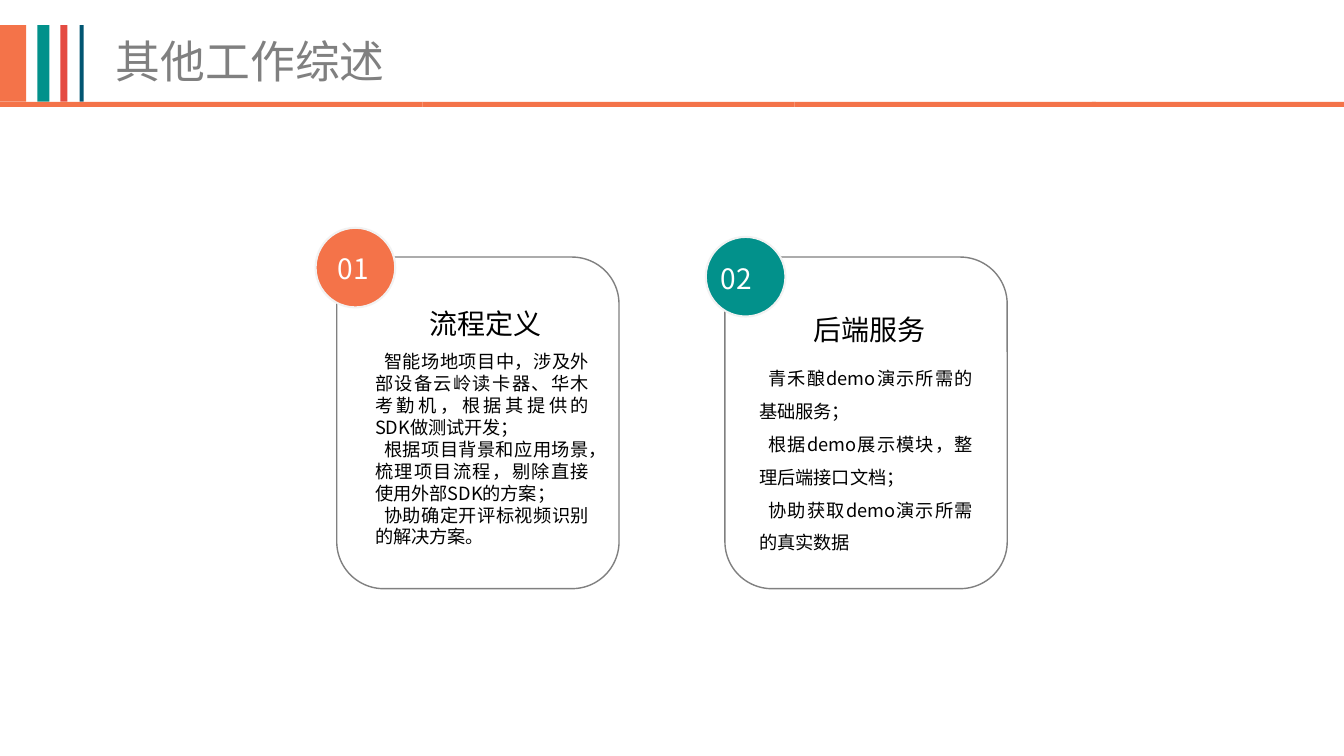
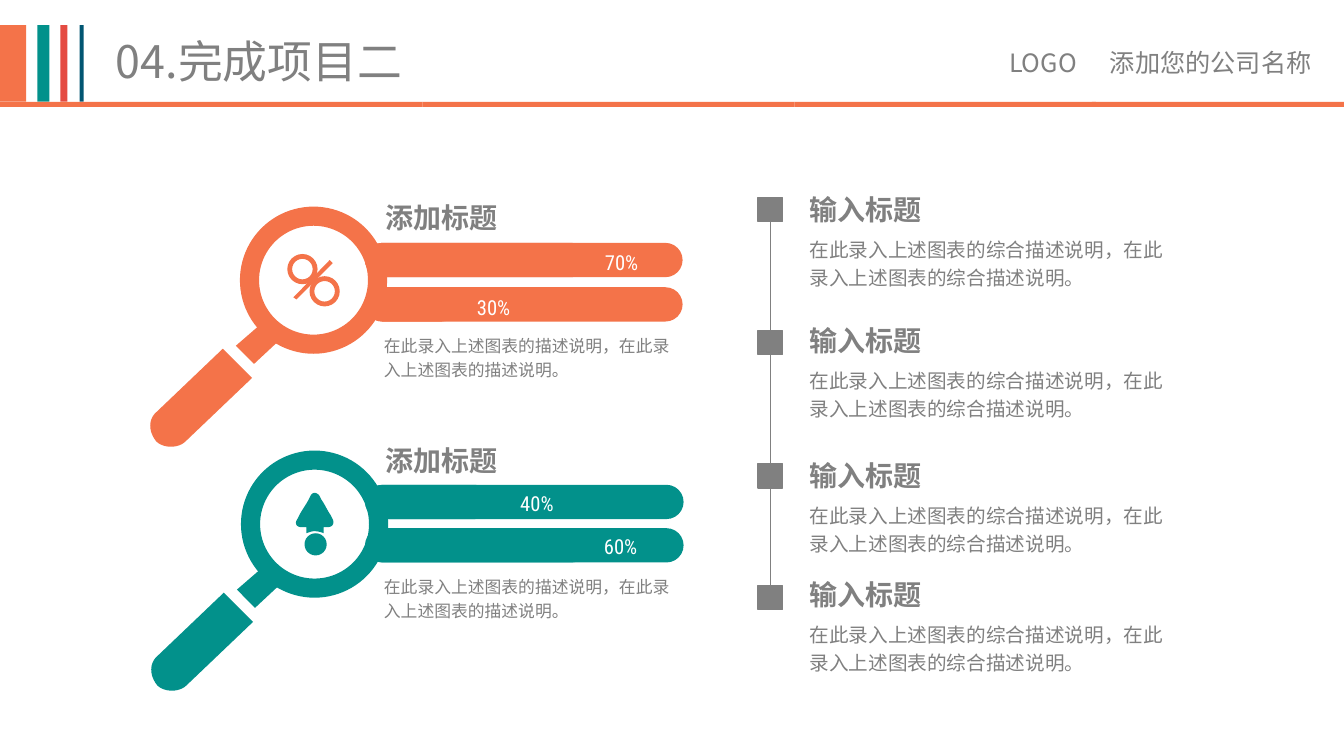
from dataclasses import dataclass
from itertools import pairwise

from lxml import etree
from pptx import Presentation
from pptx import util as u
from pptx.dml.color import RGBColor
from pptx.enum import shapes, text
from pptx.oxml.ns import qn
from pptx.shapes.autoshape import Shape
from pptx.slide import Slide

ORANGE, TEAL, RED, NAVY = "F47349", "02918B", "E44B42", "015672"
GRAY, PALE, WHITE, BLACK = "808080", "F2F2F2", "FFFFFF", "000000"
CJK_FONT, LATIN_FONT = "Noto Sans CJK SC", "Roboto Condensed"
KIND = shapes.MSO_SHAPE
ALIGN = text.PP_ALIGN
Box = tuple[float, float, float, float]
Point = tuple[float, float]

STRIPES = ((0, 0.26, ORANGE), (0.37, 0.12, TEAL), (0.6, 0.07, RED), (0.79, 0.04, NAVY))
RULE_PARTS = ((0, 4.19), (4.19, 3.69), (7.88, 2.99), (10.83, 2.5))
CHART_NOTE = "在此录入上述图表的描述说明，在此录入上述图表的描述说明。"
SUMMARY_NOTE = "在此录入上述图表的综合描述说明，在此录入上述图表的综合描述说明。"

NECK = ((0.43, 1.29), (0.14, 1.56), (-0.04, 1.38), (0.26, 1.12))
GRIP = (
    (-0.17, 1.41), (-0.83, 2.04),
    (-0.91, 2.11, -0.91, 2.23, -0.83, 2.33),
    (-0.76, 2.4, -0.61, 2.4, -0.54, 2.33),
    (0.12, 1.7),
)
PERCENT_SLASH = ((0.92, 0.56), (0.56, 0.92), (0.53, 0.9), (0.89, 0.53))
ARROW = (
    (0.89, 0.64), (0.86, 0.6, 0.83, 0.53, 0.8, 0.49),
    (0.78, 0.45), (0.75, 0.41, 0.71, 0.41, 0.69, 0.45),
    (0.67, 0.49), (0.65, 0.53, 0.6, 0.6, 0.58, 0.64),
    (0.56, 0.68), (0.53, 0.72, 0.55, 0.76, 0.6, 0.76),
    (0.65, 0.76), (0.65, 0.82), (0.68, 0.81, 0.7, 0.8, 0.73, 0.8),
    (0.76, 0.8, 0.8, 0.81, 0.82, 0.82), (0.82, 0.76), (0.86, 0.76),
    (0.91, 0.76, 0.93, 0.72, 0.91, 0.68),
)


@dataclass(frozen=True)
class Card:
    """A numbered card with a heading and justified paragraphs."""
    number: str
    heading: str
    paragraphs: tuple[str, ...]
    color: str
    left: float
    badge: Point
    number_at: Point
    heading_at: Point
    body_at: Point
    spacing: float


@dataclass(frozen=True)
class Bar:
    """A percentage bar with its filled width and label position."""
    top: float
    filled: float
    label: str
    label_box: Box


@dataclass(frozen=True)
class Lens:
    """A magnifier with a heading, two bars and a note."""
    corner: Point
    color: str
    icon: str
    heading_top: float
    note_top: float
    bar_left: float
    bars: tuple[Bar, ...]


@dataclass(frozen=True)
class Milestone:
    """A timeline entry."""
    marker_top: float
    heading_top: float


CARDS = (
    Card("01", "流程定义", (
        "智能场地项目中，涉及外部设备云岭读卡器、华木考勤机，根据其提供的SDK做测试开发；",
        "根据项目背景和应用场景，梳理项目流程，剔除直接使用外部SDK的方案；",
        "协助确定开评标视频识别的解决方案。",
    ), ORANGE, 3.34, (3.13, 2.26), (3.25, 2.45), (3.82, 2.99), (3.59, 3.41), 1),
    Card("02", "后端服务", (
        "青禾酿demo演示所需的基础服务；",
        "根据demo展示模块，整理后端接口文档；",
        "协助获取demo演示所需的真实数据",
    ), TEAL, 7.19, (7, 2.35), (7.05, 2.55), (7.63, 3.05), (7.4, 3.47), 1.5),
)
LENSES = (
    Lens((2.38, 2.05), ORANGE, "percent", 1.94, 3.24, 3.62, (
        Bar(2.41, 2.22, "70%", (5.81, 2.38, 0.71, 0.36)),
        Bar(2.85, 0.93, "30%", (4.54, 2.83, 0.71, 0.36)),
    )),
    Lens((2.39, 4.47), TEAL, "arrow", 4.35, 5.63, 3.63, (
        Bar(4.81, 1.26, "40%", (4.85, 4.77, 0.95, 0.36)),
        Bar(5.24, 2.22, "60%", (5.8, 5.2, 0.71, 0.36)),
    )),
)
MILESTONES = (
    Milestone(1.96, 1.86), Milestone(3.28, 3.16),
    Milestone(4.6, 4.5), Milestone(5.81, 5.68),
)


def rgb(color: str) -> RGBColor:
    """Turn a hex string into a colour."""
    return RGBColor.from_string(color)


def style_shape(shape: Shape, fill: str | None, line: str | None = None, width: float = 1) -> None:
    """Set the fill and outline of a shape and remove its shadow."""
    shape.shadow.inherit = False
    if fill:
        shape.fill.solid()
        shape.fill.fore_color.rgb = rgb(fill)
    else:
        shape.fill.background()
    if line:
        shape.line.color.rgb = rgb(line)
        shape.line.width = u.Pt(width)
    else:
        shape.line.fill.background()


def add_preset(slide: Slide, kind: KIND, box: Box, fill: str | None, *, line: str | None = None,
               width: float = 1, adjust: float | None = None) -> None:
    """Add a preset shape."""
    shape = slide.shapes.add_shape(kind, *map(u.Inches, box))
    if adjust is not None:
        shape.adjustments[0] = adjust
    style_shape(shape, fill, line, width)


def add_text(slide: Slide, box: Box, *paragraphs: str, size: float, color: str = GRAY,
             font: str = CJK_FONT, bold: bool = False, align: ALIGN = ALIGN.LEFT,
             spacing: float = 1, indent: float = 0, margins: Point = (0.1, 0.05),
             wrap: bool = True) -> None:
    """Add a text box with one format for all its paragraphs."""
    frame = slide.shapes.add_textbox(*map(u.Inches, box)).text_frame
    frame.word_wrap = wrap
    frame.auto_size = text.MSO_AUTO_SIZE.SHAPE_TO_FIT_TEXT
    frame.margin_left = frame.margin_right = u.Inches(margins[0])
    frame.margin_top = frame.margin_bottom = u.Inches(margins[1])
    for index, words in enumerate(paragraphs):
        paragraph = frame.add_paragraph() if index else frame.paragraphs[0]
        paragraph.alignment = align
        paragraph.line_spacing = spacing
        if indent:
            paragraph._p.get_or_add_pPr().set("indent", str(u.Inches(indent)))
        run = paragraph.add_run()
        run.text = words
        run.font.size = u.Pt(size)
        run.font.bold = bold
        run.font.color.rgb = rgb(color)
        run.font.name = font
        etree.SubElement(run._r.get_or_add_rPr(), qn("a:ea"), typeface=CJK_FONT)


def curve_points(start: Point, curve: tuple[float, ...], steps: int = 12) -> list[Point]:
    """Sample a cubic curve given by two control points and an end point."""
    points = (start, curve[:2], curve[2:4], curve[4:])
    samples = []
    for step in range(1, steps + 1):
        t = step / steps
        weights = ((1 - t) ** 3, 3 * t * (1 - t) ** 2, 3 * t * t * (1 - t), t ** 3)
        samples.append(tuple(sum(w * p[axis] for w, p in zip(weights, points)) for axis in (0, 1)))
    return samples


def add_outline(slide: Slide, corner: Point, outline: tuple[tuple[float, ...], ...], fill: str) -> None:
    """Add a closed outline of lines and curves, measured from a corner."""
    points = [outline[0]]
    for segment in outline[1:]:
        points += [segment] if len(segment) == 2 else curve_points(points[-1], segment)
    placed = [(u.Inches(corner[0] + x), u.Inches(corner[1] + y)) for x, y in points]
    builder = slide.shapes.build_freeform(*placed[0])
    builder.add_line_segments(placed[1:], close=True)
    style_shape(builder.convert_to_shape(), fill)


def add_line(slide: Slide, start: Point, end: Point) -> None:
    """Add a thin gray line."""
    line = slide.shapes.add_connector(shapes.MSO_CONNECTOR.STRAIGHT, *map(u.Inches, (*start, *end)))
    line.line.color.rgb = rgb(GRAY)
    line.line.width = u.Pt(0.5)
    etree.SubElement(line._element.spPr, qn("a:effectLst"))


def add_page(presentation: Presentation, title: str) -> Slide:
    """Add a slide with the shared title, stripes and rule."""
    slide = presentation.slides.add_slide(presentation.slide_layouts[6])
    add_text(slide, (1.05, 0.29, 5.12, 0.64), title, size=32)
    for left, width, color in STRIPES:
        add_preset(slide, KIND.RECTANGLE, (left, 0.25, width, 0.76), color)
    for left, width in RULE_PARTS:
        add_preset(slide, KIND.RECTANGLE, (left, 1.01, width, 0.05), ORANGE)
    return slide


def add_card(slide: Slide, card: Card) -> None:
    """Draw a numbered card."""
    add_preset(slide, KIND.ROUNDED_RECTANGLE, (card.left, 2.55, 2.8, 3.29), None, line=GRAY)
    add_preset(slide, KIND.OVAL, (*card.badge, 0.79, 0.79), card.color, line=PALE, width=1.5)
    add_text(slide, (*card.number_at, 0.75, 0.44), card.number, size=20, color=WHITE)
    add_text(slide, (*card.body_at, 2.38, 2.05), *card.paragraphs, size=13, color=BLACK,
             align=ALIGN.JUSTIFY, spacing=card.spacing, indent=0.09, margins=(0.13, 0.07))
    add_text(slide, (*card.heading_at, 1.99, 0.44), card.heading, size=20, color=BLACK,
             align=ALIGN.CENTER)


def add_lens(slide: Slide, lens: Lens) -> None:
    """Draw a magnifier with its bars and texts."""
    left, top = lens.corner
    for bar in lens.bars:
        for bar_left, width in ((lens.bar_left, 3.15), (3.62, bar.filled)):
            add_preset(slide, KIND.ROUNDED_RECTANGLE, (bar_left, bar.top, width, 0.34),
                       lens.color, adjust=0.5)
        add_text(slide, bar.label_box, bar.label, size=14.7, color=WHITE, font=LATIN_FONT,
                 align=ALIGN.CENTER, spacing=1.2)
    add_preset(slide, KIND.DONUT, (left, top, 1.46, 1.46), lens.color, adjust=0.13)
    for outline in (NECK, GRIP):
        add_outline(slide, lens.corner, outline, lens.color)
    if lens.icon == "percent":
        for offset in (0.47, 0.69):
            add_preset(slide, KIND.DONUT, (left + offset, top + offset, 0.3, 0.3),
                       lens.color, adjust=0.16)
        add_outline(slide, lens.corner, PERCENT_SLASH, lens.color)
    else:
        add_outline(slide, lens.corner, ARROW, lens.color)
        add_preset(slide, KIND.OVAL, (left + 0.63, top + 0.82, 0.22, 0.22), lens.color)
    add_text(slide, (3.72, lens.heading_top, 1.32, 0.44), "添加标题", size=20,
             font=LATIN_FONT, bold=True, wrap=False)
    add_text(slide, (3.71, lens.note_top, 3.08, 0.59), CHART_NOTE, size=12,
             font=LATIN_FONT, spacing=1.2)


def add_timeline(slide: Slide) -> None:
    """Draw the markers, the lines between them and the texts beside them."""
    side = 0.24
    for entry in MILESTONES:
        add_preset(slide, KIND.RECTANGLE, (7.52, entry.marker_top, side, side), GRAY, line=GRAY)
        add_text(slide, (7.93, entry.heading_top, 1.32, 0.44), "输入标题", size=20,
                 bold=True, wrap=False)
        add_text(slide, (7.93, entry.heading_top + 0.4, 3.78, 0.67), SUMMARY_NOTE, size=14,
                 spacing=1.2)
    for upper, lower in pairwise(MILESTONES):
        add_line(slide, (7.64, upper.marker_top + side), (7.64, lower.marker_top))


def main() -> None:
    """Build and save the presentation."""
    presentation = Presentation()
    presentation.slide_width, presentation.slide_height = u.Inches(13.33), u.Inches(7.5)

    overview = add_page(presentation, "其他工作综述")
    for card in CARDS:
        add_card(overview, card)

    project = add_page(presentation, "04.完成项目二")
    add_text(project, (9.91, 0.42, 1, 0.4), "LOGO", size=18)
    add_text(project, (10.91, 0.42, 2.42, 0.4), "添加您的公司名称", size=18)
    for lens in LENSES:
        add_lens(project, lens)
    add_timeline(project)

    presentation.save("out.pptx")


if __name__ == "__main__":
    main()
